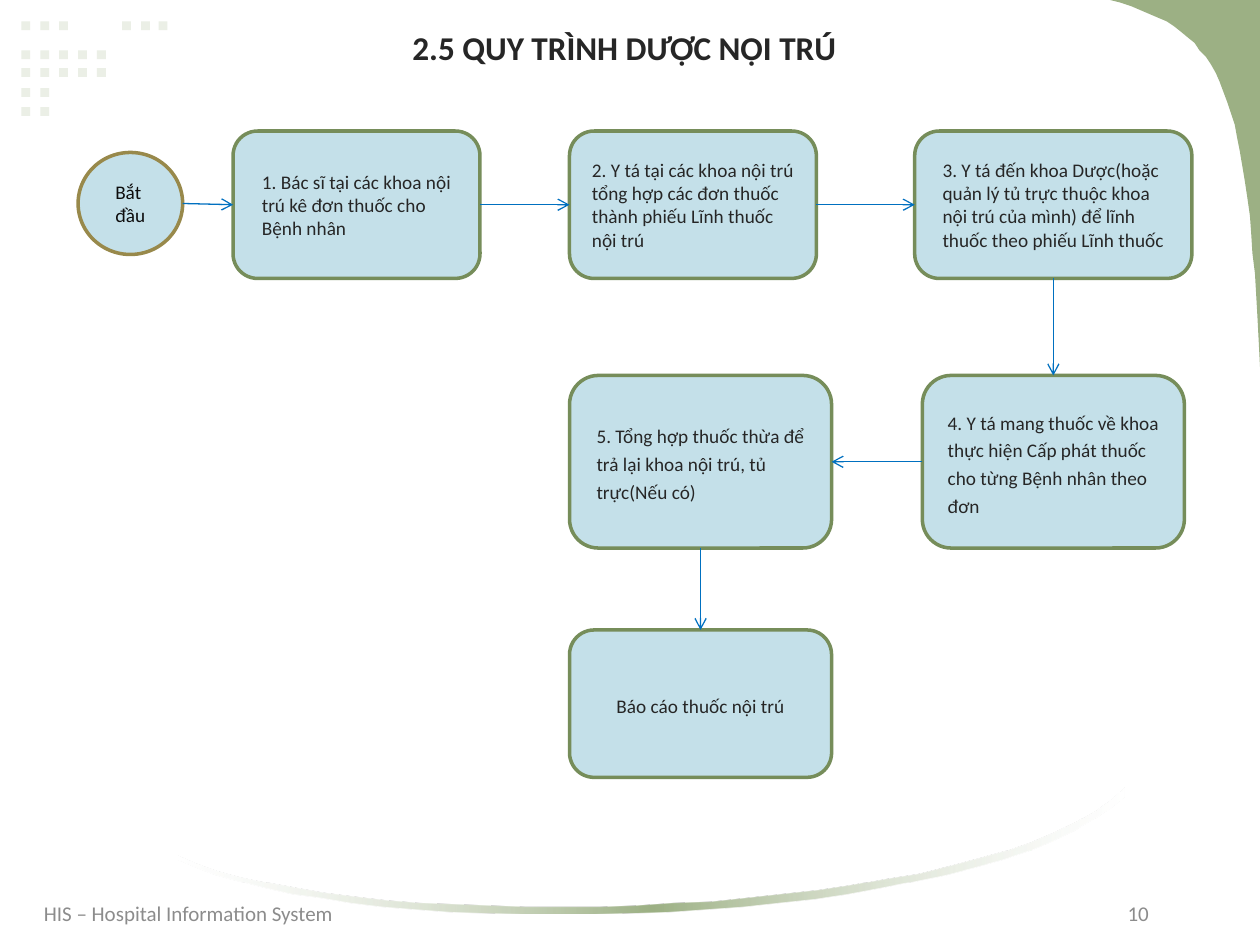
from lxml import etree
from pptx import Presentation
from pptx.dml.color import RGBColor
from pptx.enum import shapes, text
from pptx.oxml.ns import qn
from pptx.util import Inches, Pt

FONT = "Calibri"
LEAF, PALE_LEAF, WHITE = "9CB084", "EBEFE6", "FFFFFF"
STEP_FILL, STEP_EDGE, START_EDGE, ARROW = "C4E0E9", "768D5A", "98894B", "0070C0"
INK, START_INK, FOOTER_INK = "262626", "0D0D0D", "8C8C8C"

DOT_COLUMNS = [0.17, 0.32, 0.47, 0.62, 0.77, 0.97, 1.12, 1.26]
DOT_ROWS = {0.17: [0, 1, 2, 5, 6, 7], 0.4: range(5), 0.54: range(5),
            0.7: range(2), 0.85: range(2)}

# Outlines in hundredths of an inch
CORNER = [
    (881, 0), (1000, 0), (1000, 291), (999, 271), (998, 252), (997, 234), (996, 217),
    (994, 201), (993, 185), (992, 171), (990, 157), (988, 144), (986, 132), (984, 120),
    (982, 110), (980, 99), (977, 90), (974, 81), (971, 73), (968, 65), (965, 58),
    (961, 51), (957, 45), (952, 40), (948, 34), (943, 30), (937, 25), (932, 21),
    (926, 17), (919, 14), (912, 11), (905, 8), (898, 5), (889, 2)]
SWOOSH = [
    (892, 625), (892, 632), (881, 641), (867, 650), (852, 659), (835, 667), (816, 675),
    (795, 682), (773, 688), (750, 694), (725, 699), (700, 704), (673, 709), (646, 713),
    (617, 716), (589, 719), (560, 721), (531, 723), (501, 724), (472, 725), (443, 725),
    (414, 725), (385, 724), (357, 723), (330, 721), (304, 719), (279, 716), (255, 712),
    (232, 709), (210, 704), (191, 699), (172, 694), (156, 688), (142, 682), (142, 679),
    (156, 685), (173, 691), (192, 696), (212, 700), (234, 704), (257, 708), (281, 711),
    (307, 714), (333, 716), (361, 717), (389, 718), (417, 719), (446, 719), (476, 719),
    (505, 718), (534, 716), (564, 715), (593, 712), (621, 709), (649, 706), (676, 702),
    (703, 697), (729, 693), (753, 687), (776, 681), (798, 675), (818, 668), (837, 660),
    (854, 652), (868, 644), (881, 635)]

# Step boxes: left, top, width, height, line spacing, wording
STEPS = [
    (1.85, 1.04, 1.96, 1.17, 1, "1. Bác sĩ tại các khoa nội trú kê đơn thuốc cho Bệnh nhân"),
    (4.52, 1.04, 1.96, 1.17, 1,
     "2. Y tá tại các khoa nội trú tổng hợp các đơn thuốc thành phiếu Lĩnh thuốc nội trú"),
    (7.26, 1.04, 2.2, 1.17, 1,
     "3. Y tá đến khoa Dược(hoặc quản lý tủ trực thuộc khoa nội trú của mình) "
     "để lĩnh thuốc theo phiếu Lĩnh thuốc"),
    (7.32, 2.98, 2.08, 1.37, 1.2,
     "4. Y tá mang thuốc về khoa thực hiện Cấp phát thuốc cho từng Bệnh nhân theo đơn"),
    (4.52, 2.98, 2.08, 1.37, 1.2,
     "5. Tổng hợp thuốc thừa để trả lại khoa nội trú, tủ trực(Nếu có)"),
    (4.52, 5, 2.08, 1.17, 1.2, "Báo cáo thuốc nội trú"),
]
TOP, LEFT, BOTTOM, RIGHT = range(4)  # connection sites of a rounded rectangle
LINKS = [(0, RIGHT, 1, LEFT), (1, RIGHT, 2, LEFT), (2, BOTTOM, 3, TOP),
         (3, LEFT, 4, RIGHT), (4, BOTTOM, 5, TOP)]


def rgb(value):
    return RGBColor.from_string(value)


def paint(shape, fill, edge=None):
    shape.shadow.inherit = False
    shape.fill.solid()
    shape.fill.fore_color.rgb = rgb(fill)
    if edge:
        shape.line.color.rgb = rgb(edge)
        shape.line.width = Pt(2)
    else:
        shape.line.fill.background()


def write(frame, words, size, colour, bold=False, spacing=1, align=text.PP_ALIGN.LEFT):
    paragraph = frame.paragraphs[0]
    paragraph.alignment = align
    paragraph.line_spacing = spacing
    run = paragraph.add_run()
    run.text = words
    run.font.name = FONT
    run.font.size = Pt(size)
    run.font.bold = bold
    run.font.color.rgb = rgb(colour)


def set_frame(frame, anchor):
    frame.word_wrap = True
    frame.auto_size = text.MSO_AUTO_SIZE.NONE
    frame.vertical_anchor = anchor
    frame.margin_left = frame.margin_right = Inches(0.11)
    frame.margin_top = frame.margin_bottom = Inches(0.06)


def add_outline(slide, points):
    builder = slide.shapes.build_freeform(*points[0], scale=Inches(0.01))
    builder.add_line_segments(points[1:], close=True)
    return builder.convert_to_shape()


def add_backdrop(slide):
    # Dot pattern
    for top, columns in DOT_ROWS.items():
        for column in columns:
            dot = slide.shapes.add_shape(
                shapes.MSO_SHAPE.RECTANGLE, Inches(DOT_COLUMNS[column]), Inches(top),
                Inches(0.07), Inches(0.07))
            paint(dot, PALE_LEAF)
    # Corner and fading swoosh
    paint(add_outline(slide, CORNER), LEAF)
    swoosh = add_outline(slide, SWOOSH)
    paint(swoosh, LEAF)
    swoosh.fill.gradient()
    swoosh.fill.gradient_angle = 0
    stops = swoosh._element.spPr.find(".//" + qn("a:gsLst"))
    stops.clear()
    for position, colour, opacity in [(0, WHITE, 30), (50, LEAF, 100), (100, WHITE, 30)]:
        stop = etree.SubElement(stops, qn("a:gs"), pos=str(position * 1000))
        tint = etree.SubElement(stop, qn("a:srgbClr"), val=colour)
        etree.SubElement(tint, qn("a:alpha"), val=str(opacity * 1000))


def add_title(slide, box):
    title = slide.shapes.title
    title.left, title.top, title.width, title.height = map(Inches, box)
    set_frame(title.text_frame, text.MSO_ANCHOR.TOP)
    write(title.text_frame, "2.5 QUY TRÌNH DƯỢC NỘI TRÚ", 19, INK, True, 1.5,
          text.PP_ALIGN.CENTER)


def add_footer(slide, box):
    footer = slide.shapes.add_textbox(*map(Inches, box)).text_frame
    set_frame(footer, text.MSO_ANCHOR.MIDDLE)
    footer.margin_left = Inches(0.1)
    # The page number sits on a right-aligned tab
    tabs = etree.SubElement(footer.paragraphs[0]._p.get_or_add_pPr(), qn("a:tabLst"))
    etree.SubElement(tabs, qn("a:tab"), pos=str(Inches(8.77)), algn="r")
    write(footer, "HIS – Hospital Information System\t10", 12, FOOTER_INK)


def add_node(slide, kind, box, words, edge, colour, spacing=1):
    node = slide.shapes.add_shape(kind, *map(Inches, box))
    paint(node, STEP_FILL, edge)
    set_frame(node.text_frame, text.MSO_ANCHOR.MIDDLE)
    node._element.txBody.bodyPr.set("anchorCtr", "1")
    write(node.text_frame, words, 11, colour, spacing=spacing)
    return node


def add_arrow(slide, source, target, target_site, source_site=None):
    start_x, start_y = source.left + source.width, source.top + source.height // 2
    arrow = slide.shapes.add_connector(
        shapes.MSO_CONNECTOR.STRAIGHT, start_x, start_y, target.left, start_y)
    if source_site is not None:
        arrow.begin_connect(source, source_site)
    arrow.end_connect(target, target_site)
    arrow.line.color.rgb = rgb(ARROW)
    arrow.line.width = Pt(0.75)
    etree.SubElement(arrow.line._get_or_add_ln(), qn("a:tailEnd"), type="arrow")
    etree.SubElement(arrow._element.spPr, qn("a:effectLst"))


def add_flow(slide):
    start = add_node(slide, shapes.MSO_SHAPE.OVAL, (0.62, 1.21, 0.83, 0.81), "Bắt đầu",
                     START_EDGE, START_INK)
    steps = [add_node(slide, shapes.MSO_SHAPE.ROUNDED_RECTANGLE, box, words,
                      STEP_EDGE, INK, spacing)
             for *box, spacing, words in STEPS]
    add_arrow(slide, start, steps[0], LEFT)
    for source, source_site, target, target_site in LINKS:
        add_arrow(slide, steps[source], steps[target], target_site, source_site)


def main():
    deck = Presentation()
    deck.slide_width, deck.slide_height = Inches(10), Inches(7.5)
    slide = deck.slides.add_slide(deck.slide_layouts[5])
    add_backdrop(slide)
    add_footer(slide, (0.25, 7.07, 9.5, 0.35))
    add_flow(slide)
    add_title(slide, (0.58, 0, 8.75, 0.58))
    deck.save("out.pptx")


if __name__ == "__main__":
    main()
